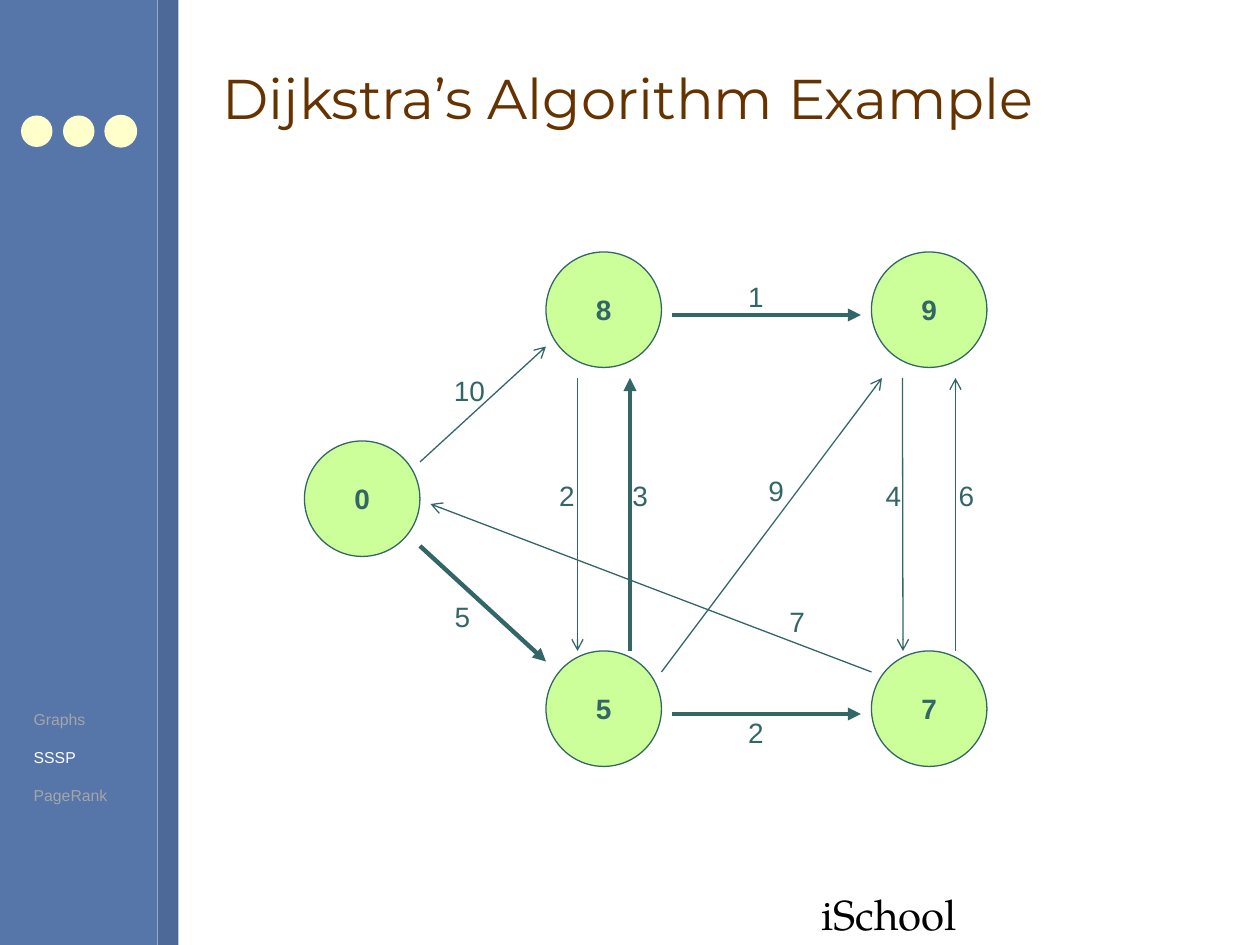
"""Build the slide that shows Dijkstra's algorithm on a five-node graph."""
from dataclasses import dataclass

from lxml import etree
from pptx import Presentation
from pptx.dml.color import RGBColor
from pptx.enum.shapes import MSO_CONNECTOR, MSO_SHAPE
from pptx.enum.text import MSO_ANCHOR, MSO_AUTO_SIZE, PP_ALIGN
from pptx.oxml.ns import qn
from pptx.util import Pt

RECTANGLE, OVAL = MSO_SHAPE.RECTANGLE, MSO_SHAPE.OVAL
STRAIGHT = MSO_CONNECTOR.STRAIGHT
TOP, MIDDLE = MSO_ANCHOR.TOP, MSO_ANCHOR.MIDDLE
LEFT, CENTER = PP_ALIGN.LEFT, PP_ALIGN.CENTER
NO_FIT, FIT_SHAPE = MSO_AUTO_SIZE.NONE, MSO_AUTO_SIZE.SHAPE_TO_FIT_TEXT


@dataclass(frozen=True)
class Theme:
    sidebar: str = "5675A9"
    stripe: str = "4D6997"
    dot: str = "FFFFCC"
    title: str = "663300"
    node: str = "CCFF99"
    graph: str = "336666"
    footer: str = "000000"
    current: str = "FFFFFF"
    muted: str = "A6A6A6"
    body_font: str = "Arial"
    title_font: str = "Montserrat"
    footer_font: str = "TeX Gyre Pagella"
    title_size: float = 32
    footer_size: float = 24
    graph_size: float = 16
    agenda_size: float = 9
    thin: float = 0.75
    thick: float = 2.5


THEME = Theme()
NODE_SIZE = 66
LEFT_COL, MID_COL, RIGHT_COL = 174, 312, 498
UPPER_ROW, MIDDLE_ROW, LOWER_ROW = 144, 252, 372
NODES = [
    ("0", LEFT_COL, MIDDLE_ROW),
    ("8", MID_COL, UPPER_ROW),
    ("5", MID_COL, LOWER_ROW),
    ("9", RIGHT_COL, UPPER_ROW),
    ("7", RIGHT_COL, LOWER_ROW),
]
# weight, start, end, label position, on the shortest path
EDGES = [
    ("5", (240, 312), (312, 378), (252.7, 339), True),
    ("10", (240, 264), (312, 198), (252.3, 210), False),
    ("2", (384, 408), (492, 408), (420.5, 405.4), True),
    ("1", (384, 180), (492, 180), (420.5, 156), True),
    ("9", (378, 384), (504, 216), (432, 267), False),
    ("7", (498, 384), (246, 288), (444, 342), False),
    ("3", (360, 372), (360, 216), (354.3, 270), True),
    ("2", (330, 216), (330, 372), (312.5, 270), False),
    ("6", (546, 372), (546, 216), (540.7, 270), False),
    ("4", (515.7, 216), (516, 372), (499, 270), False),
]
AGENDA = [("Graphs", THEME.muted), ("SSSP", THEME.current), ("PageRank", THEME.muted)]


def rgb(color):
    return RGBColor.from_string(color)


def write(paragraph, text, *, size, color, font=THEME.body_font, bold=False,
          align=LEFT, before=0):
    paragraph.alignment = align
    paragraph.space_before = Pt(before)
    run = paragraph.add_run()
    run.text = text
    run.font.name, run.font.size, run.font.bold = font, Pt(size), bold
    run.font.color.rgb = rgb(color)


def add_text_box(slide, left, top, width, height, *, wrap=False, anchor=TOP):
    frame = slide.shapes.add_textbox(Pt(left), Pt(top), Pt(width), Pt(height)).text_frame
    frame.word_wrap = wrap
    frame.auto_size = NO_FIT if wrap else FIT_SHAPE
    frame.vertical_anchor = anchor
    return frame


def add_figure(slide, preset, left, top, width, height, fill, line=None):
    figure = slide.shapes.add_shape(preset, Pt(left), Pt(top), Pt(width), Pt(height))
    figure.shadow.inherit = False
    figure.fill.solid()
    figure.fill.fore_color.rgb = rgb(fill)
    if line:
        figure.line.color.rgb = rgb(line)
        figure.line.width = Pt(THEME.thin)
    else:
        figure.line.fill.background()
    return figure


def add_node(slide, distance, left, top):
    node = add_figure(slide, OVAL, left, top, NODE_SIZE, NODE_SIZE, THEME.node, THEME.graph)
    node.text_frame.vertical_anchor = MIDDLE
    write(node.text_frame.paragraphs[0], distance, size=THEME.graph_size,
          color=THEME.graph, bold=True, align=CENTER)


def add_edge(slide, start, end, on_path):
    edge = slide.shapes.add_connector(STRAIGHT, *(Pt(value) for value in start + end))
    edge.line.color.rgb = rgb(THEME.graph)
    edge.line.width = Pt(THEME.thick if on_path else THEME.thin)
    head = etree.SubElement(edge.line._get_or_add_ln(), qn("a:tailEnd"))
    head.set("type", "triangle" if on_path else "arrow")
    etree.SubElement(edge._element.spPr, qn("a:effectLst"))


def add_weight(slide, weight, left, top):
    width = 14.4 + 8.9 * len(weight)
    frame = add_text_box(slide, left, top, width, 26.6)
    write(frame.paragraphs[0], weight, size=THEME.graph_size, color=THEME.graph)


def add_sidebar(slide):
    add_figure(slide, RECTANGLE, 0, 0, 90, 540, THEME.sidebar)
    add_figure(slide, RECTANGLE, 90, 0, 12, 540, THEME.stripe)
    for left, line in ((12, None), (36, None), (60, THEME.dot)):
        add_figure(slide, OVAL, left, 66, 18, 18, THEME.dot, line)


def add_agenda(slide):
    frame = add_text_box(slide, 12.2, 402, 70, 61, wrap=True)
    for index, (topic, color) in enumerate(AGENDA):
        paragraph = frame.add_paragraph() if index else frame.paragraphs[0]
        write(paragraph, topic, size=THEME.agenda_size, color=color,
              before=11 if index else 0)


def main():
    deck = Presentation()
    deck.slide_width, deck.slide_height = Pt(720), Pt(540)
    slide = deck.slides.add_slide(deck.slide_layouts[6])

    add_sidebar(slide)
    footer = add_text_box(slide, 462.4, 504, 91.5, 36)
    write(footer.paragraphs[0], "iSchool", size=THEME.footer_size,
          color=THEME.footer, font=THEME.footer_font)
    title = add_text_box(slide, 120, 15, 576, 81, wrap=True, anchor=MIDDLE)
    write(title.paragraphs[0], "Dijkstra’s Algorithm Example", size=THEME.title_size,
          color=THEME.title, font=THEME.title_font)

    for distance, left, top in NODES:
        add_node(slide, distance, left, top)
    for _, start, end, _, on_path in EDGES:
        add_edge(slide, start, end, on_path)
    for weight, _, _, position, _ in EDGES:
        add_weight(slide, weight, *position)
    add_agenda(slide)

    deck.save("out.pptx")


if __name__ == "__main__":
    main()
